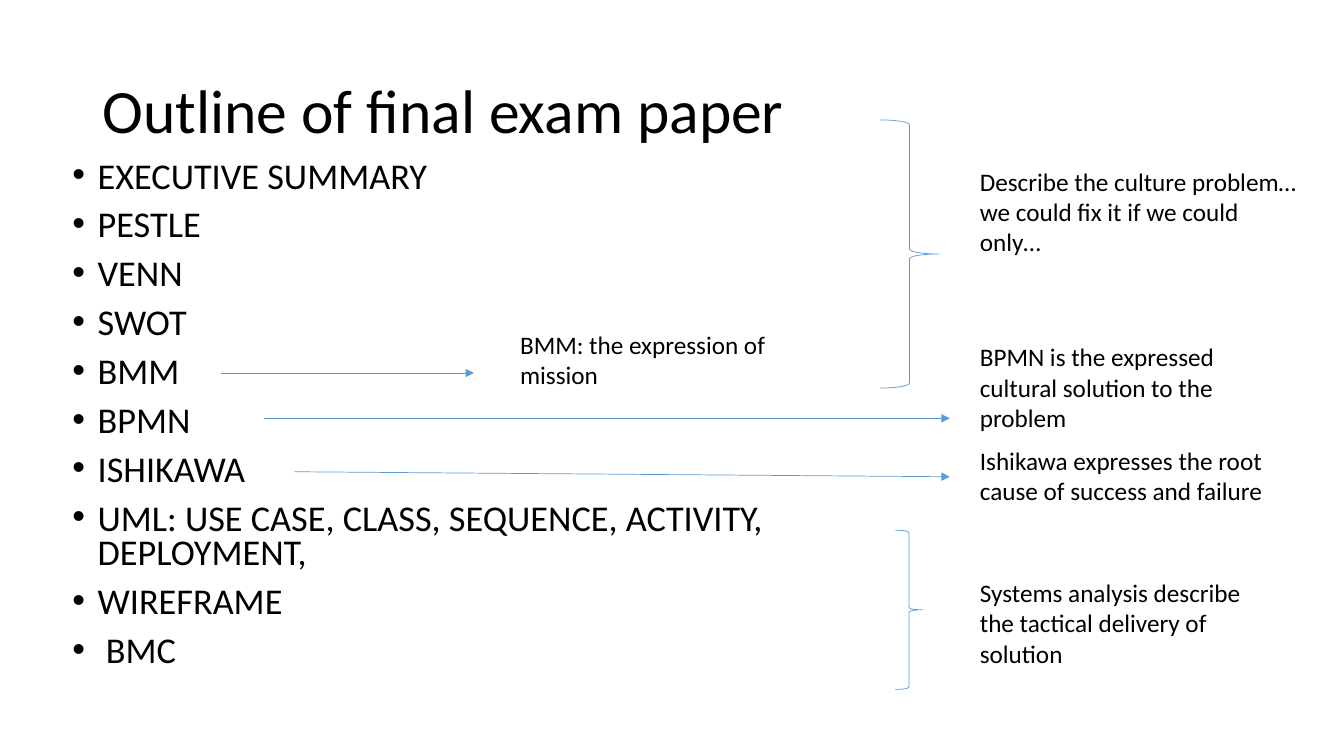
from lxml import etree
from pptx import Presentation, util as u
from pptx.dml.color import RGBColor
from pptx.enum import shapes, text
from pptx.oxml.ns import qn

PX = 9144  # EMU per px, 100 px to the inch
COLORS = {"text": "000000", "line": "5B9BD5"}

deck = Presentation()
deck.slide_width, deck.slide_height = 1333 * PX, 750 * PX
slide = deck.slides.add_slide(deck.slide_layouts[6])


def add_text(box, lines, size, spacing=1.0, anchor=text.MSO_ANCHOR.TOP):
    """Add a wrapped text box with one paragraph per line; return its paragraphs."""
    frame = slide.shapes.add_textbox(*(v * PX for v in box)).text_frame
    frame.word_wrap = True
    frame.vertical_anchor = anchor
    frame.text = "\n".join(lines)
    for paragraph in frame.paragraphs:
        paragraph.line_spacing = spacing
        paragraph.font.name = "Calibri"
        paragraph.font.size = u.Pt(size)
        paragraph.font.color.rgb = RGBColor.from_string(COLORS["text"])
    return frame.paragraphs


def style_line(line):
    line.color.rgb = RGBColor.from_string(COLORS["line"])
    line.width = u.Pt(0.5)


add_text((92, 40, 1150, 145), ["Outline of final exam paper"], 44, 0.9, text.MSO_ANCHOR.MIDDLE)

sections = [
    "EXECUTIVE SUMMARY",
    "PESTLE",
    "VENN",
    "SWOT",
    "BMM",
    "BPMN",
    "ISHIKAWA",
    "UML: USE CASE, CLASS, SEQUENCE, ACTIVITY, DEPLOYMENT,",
    "WIREFRAME",
    " BMC",
]
for section in add_text((62, 155, 755, 521), sections, 25.9, 0.8):
    section.space_before = u.Pt(10)
    properties = section._p.get_or_add_pPr()
    properties.set("marL", str(25 * PX))
    properties.set("indent", str(-25 * PX))
    etree.SubElement(properties, qn("a:buFont"), typeface="Arial")
    etree.SubElement(properties, qn("a:buChar"), char="•")
    # Bullets must precede the default run properties
    defaults = properties.find(qn("a:defRPr"))
    if defaults is not None:
        properties.append(defaults)

notes = [
    ((962, 160, 336, 101), "Describe the culture problem… we could fix it if we could only…"),
    ((962, 334, 313, 101), "BPMN is the expressed cultural solution to the problem"),
    ((506, 322, 289, 71), "BMM: the expression of mission"),
    ((962, 437, 342, 71), "Ishikawa expresses the root cause of success and failure"),
    ((962, 568, 313, 101), "Systems analysis describe the tactical delivery of solution"),
]
for box, note in notes:
    add_text(box, [note], 18)

for box in [(873, 119, 58, 266), (888, 526, 27, 158)]:
    brace = slide.shapes.add_shape(shapes.MSO_SHAPE.RIGHT_BRACE, *(v * PX for v in box))
    brace.shadow.inherit = False
    brace.fill.background()
    style_line(brace.line)

for ends in [(262, 415, 942, 415), (219, 370, 470, 370), (292, 468, 942, 473)]:
    arrow = slide.shapes.add_connector(shapes.MSO_CONNECTOR.STRAIGHT, *(v * PX for v in ends))
    style_line(arrow.line)
    etree.SubElement(arrow.line._get_or_add_ln(), qn("a:tailEnd"), type="triangle")
    etree.SubElement(arrow._element.spPr, qn("a:effectLst"))

deck.save("out.pptx")
